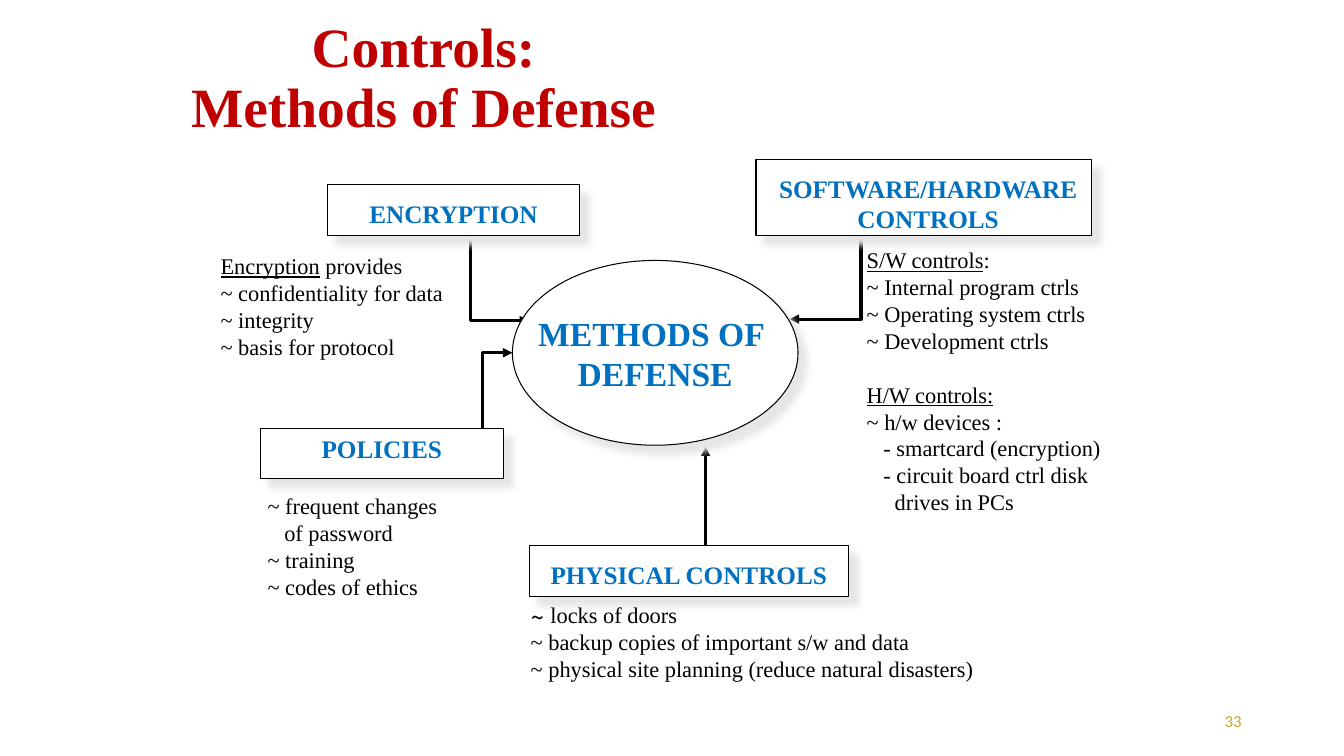
from pptx import Presentation
from pptx.dml.color import RGBColor
from pptx.enum.shapes import MSO_CONNECTOR, MSO_SHAPE
from pptx.enum.text import MSO_ANCHOR, PP_ALIGN
from pptx.oxml import parse_xml
from pptx.oxml.ns import nsdecls
from pptx.util import Pt


def paint(color, hue):
    color.rgb = RGBColor.from_string(hue)


def write(frame, rows, size, hue="000000", bold=False, align=PP_ALIGN.LEFT, font="Times New Roman"):
    for num, row in enumerate(rows):
        para = frame.paragraphs[0] if num == 0 else frame.add_paragraph()
        para.alignment = align
        for text, look in row:
            run = para.add_run()
            run.text = text
            run.font.size = Pt(size)
            run.font.name = look.get("font", font)
            run.font.bold = bold
            run.font.underline = look.get("under", False)
            paint(run.font.color, hue)
            para.space_before = Pt(look.get("gap", 0))
            para._p.get_or_add_pPr().set("marL", str(Pt(look.get("dent", 0))))


deck = Presentation()
deck.slide_width, deck.slide_height = Pt(960), Pt(540)
slide = deck.slides.add_slide(deck.slide_layouts[6])
shapes = slide.shapes

arrows = [
    ("bentConnector3", 323, 320, 366, 252, "tailEnd"),
    ("bentConnector2", 564, 228, 615, 144, "headEnd"),
    ("bentConnector2", 378, 229, 336, 144, "headEnd"),
    ("line", 504, 408, 504, 319, "tailEnd"),
]
for form, left, top, right, low, end in arrows:
    kind = MSO_CONNECTOR.STRAIGHT if form == "line" else MSO_CONNECTOR.ELBOW
    arrow = shapes.add_connector(kind, Pt(left), Pt(top), Pt(right), Pt(low))
    arrow.line.width = Pt(2.25)
    paint(arrow.line.color, "000000")
    props = arrow._element.spPr
    props.prstGeom.set("prst", form)
    props.append(parse_xml(f"<a:effectLst {nsdecls('a')}/>"))
    arrow.line._get_or_add_ln().append(
        parse_xml(f'<a:{end} {nsdecls("a")} type="triangle"/>'))

boxes = [
    (MSO_SHAPE.RECTANGLE, 186, 306, 174, 36),
    (MSO_SHAPE.RECTANGLE, 540, 114, 240, 54),
    (MSO_SHAPE.RECTANGLE, 234, 132, 180, 36),
    (MSO_SHAPE.RECTANGLE, 378, 390, 228, 36),
    (MSO_SHAPE.OVAL, 366, 186, 204, 132),
]
for kind, *place in boxes:
    box = shapes.add_shape(kind, *map(Pt, place))
    box.fill.solid()
    paint(box.fill.fore_color, "FFFFFF")
    box.line.width = Pt(0.75)
    paint(box.line.color, "000000")
    box._element.spPr.append(parse_xml(
        f'<a:effectLst {nsdecls("a")}><a:outerShdw blurRad="{Pt(5)}" dist="{Pt(8.5)}" '
        'dir="2700000" algn="ctr" rotWithShape="0"><a:srgbClr val="E7E6E6"/>'
        '</a:outerShdw></a:effectLst>'))

hub = box.text_frame
hub.word_wrap = False
hub.vertical_anchor = MSO_ANCHOR.MIDDLE
write(hub, [[("METHODS OF ", {})], [("DEFENSE", {})]], 24, "0070C0", True, PP_ALIGN.CENTER)

labels = [
    ("SOFTWARE/HARDWARE CONTROLS", 540, 120, 246, 50),
    ("ENCRYPTION", 228, 138, 192, 29),
    ("POLICIES", 222, 306, 101.5, 29),
    ("PHYSICAL CONTROLS", 378, 396, 228, 29),
]
for text, *place in labels:
    frame = shapes.add_textbox(*map(Pt, place)).text_frame
    frame.word_wrap = True
    write(frame, [[(text, {})]], 18, "0070C0", True, PP_ALIGN.CENTER)

under = {"under": True}
dent = {"dent": 12}
notes = [
    ((150.5, 176.5, 199.5, 85), [
        [("Encryption", under), (" provides", {})],
        [("~ confidentiality for data", {})],
        [("~ integrity", {})],
        [("~ basis for protocol", {})]]),
    ((612, 172.5, 222, 201), [
        [("S/W controls", under), (":", {})],
        [("~ Internal program ctrls", {})],
        [("~ Operating system ctrls", {})],
        [("~ Development ctrls", {})],
        [("H/W controls:", {"under": True, "gap": 19.2})],
        [("~ h/w devices :", {})],
        [("- smartcard (encryption)", dent)],
        [("- circuit board ctrl disk", dent)],
        [("drives in PCs", {"dent": 20})]]),
    ((184, 348, 157, 85), [
        [("~ frequent changes", {})],
        [("of password", dent)],
        [("~ training", {})],
        [("~ codes of ethics", {})]]),
    ((372, 426, 336, 65), [
        [("~ ", {"font": "TeX Gyre Schola"}), ("locks of doors", {})],
        [("~ backup copies of important s/w and data", {})],
        [("~ physical site planning (reduce natural disasters)", {})]]),
]
for place, rows in notes:
    frame = shapes.add_textbox(*map(Pt, place)).text_frame
    frame.word_wrap = True
    write(frame, rows, 16)

title = shapes.add_textbox(Pt(79), Pt(11.5), Pt(447), Pt(90)).text_frame
title.word_wrap = True
title.vertical_anchor = MSO_ANCHOR.MIDDLE
write(title, [[("Controls:", {})], [("Methods of Defense", {})]], 39.6, "C00000", True, PP_ALIGN.CENTER)
for para in title.paragraphs:
    para.line_spacing = 0.9

page = shapes.add_textbox(Pt(678), Pt(500.5), Pt(216), Pt(29)).text_frame
page.word_wrap = True
page.vertical_anchor = MSO_ANCHOR.MIDDLE
write(page, [[("33", {})]], 12, "CBA523", align=PP_ALIGN.RIGHT, font="Calibri")

deck.save("out.pptx")
